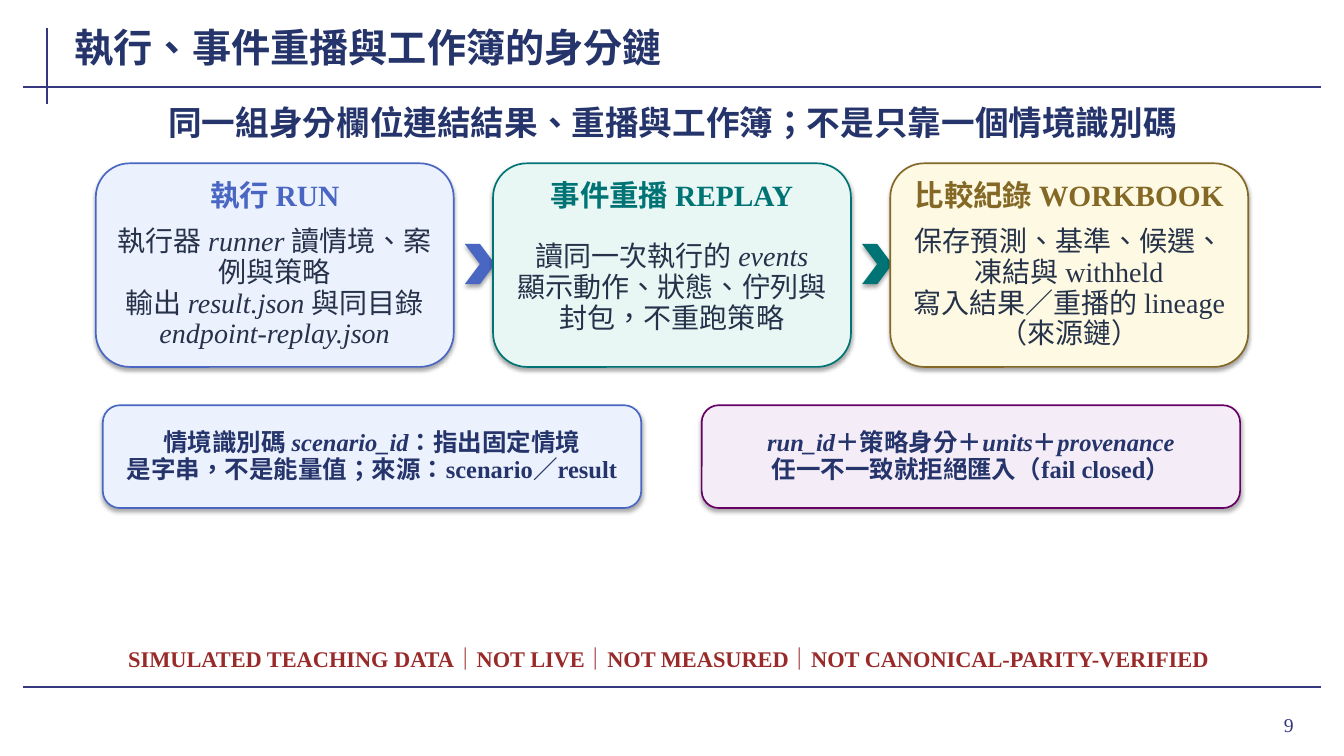
"""Build the slide on the identity chain of run, replay and workbook."""
from dataclasses import dataclass

from lxml import etree
from pptx import Presentation
from pptx import util as u
from pptx.dml.color import RGBColor
from pptx.enum import lang, shapes, text
from pptx.oxml import parse_xml
from pptx.oxml.ns import qn

COLOURS = {
    "rule": "35377F", "navy": "25356B", "body": "25324A", "warning": "992A2A",
    "blue": "4967C2", "blue_tint": "ECF1FE",
    "teal": "007374", "teal_tint": "E8F7F4",
    "gold": "846826", "gold_tint": "FDF9E2",
    "purple": "660066", "purple_tint": "F4EDF7",
}
SHADOW = (
    '<a:outerShdw xmlns:a="http://schemas.openxmlformats.org/drawingml/2006/main" '
    'blurRad="39370" dist="22860" dir="5400000" rotWithShape="0">'
    '<a:srgbClr val="000000"><a:alpha val="35000"/></a:srgbClr></a:outerShdw>'
)
TIGHT = (0.02, 0.01)
CARD_LEFT, CARD_TOP, CARD_STEP = 0.95, 1.62, 3.94
NOTE_LEFT, NOTE_STEP = 1.02, 5.94


@dataclass
class Style:
    """Character and paragraph look; asterisks in the wording toggle italics."""
    size: float
    colour: str
    bold: bool = True
    align: text.PP_ALIGN = text.PP_ALIGN.CENTER
    spacing: float | None = None


@dataclass
class Card:
    """One stage of the chain."""
    heading: str
    lines: list[str]
    colour: str


@dataclass
class Note:
    """One rule below the chain."""
    lines: list[str]
    colour: str


CARDS = [
    Card("執行 RUN", ["執行器 *runner* 讀情境、案例與策略",
                    "輸出 *result.json* 與同目錄 *endpoint-replay.json*"], "blue"),
    Card("事件重播 REPLAY", ["讀同一次執行的 *events*",
                         "顯示動作、狀態、佇列與封包，不重跑策略"], "teal"),
    Card("比較紀錄 WORKBOOK", ["保存預測、基準、候選、凍結與 withheld",
                           "寫入結果／重播的 lineage（來源鏈）"], "gold"),
]
NOTES = [
    Note(["情境識別碼 *scenario_id*：指出固定情境",
          "是字串，不是能量值；來源：scenario／result"], "blue"),
    Note(["*run_id*＋策略身分＋*units*＋*provenance*",
          "任一不一致就拒絕匯入（fail closed）"], "purple"),
]
RULES = [(0.47, 0.28, 0.47, 1.03), (0.23, 0.86, 13.1, 0.86), (0.23, 6.82, 13.1, 6.82)]


def rgb(name: str) -> RGBColor:
    """Look up a named colour."""
    return RGBColor.from_string(COLOURS[name])


def write(shape, lines: list[str], style: Style, inset: tuple[float, float]) -> None:
    """Fill a shape with styled paragraphs."""
    frame = shape.text_frame
    frame.word_wrap = True
    frame.vertical_anchor = text.MSO_ANCHOR.MIDDLE
    frame.margin_left = frame.margin_right = u.Inches(inset[0])
    frame.margin_top = frame.margin_bottom = u.Inches(inset[1])
    for index, line in enumerate(lines):
        para = frame.add_paragraph() if index else frame.paragraphs[0]
        para.alignment = style.align
        para.line_spacing = style.spacing
        para.space_before = u.Pt(0)
        for order, part in enumerate(line.split("*")):
            if part:
                span = para.add_run()
                span.text = part
                font = span.font
                font.name = "Times New Roman"
                font.size = u.Pt(style.size)
                font.bold = style.bold
                font.italic = order % 2 == 1
                font.color.rgb = rgb(style.colour)
                font.language_id = lang.MSO_LANGUAGE_ID.TRADITIONAL_CHINESE


def add_label(page, place: tuple[float, ...], lines: list[str], style: Style,
              inset: tuple[float, float] = TIGHT, grow: bool = True) -> None:
    """Add a text box."""
    box = page.shapes.add_textbox(*map(u.Inches, place))
    write(box, lines, style, inset)
    size = text.MSO_AUTO_SIZE
    box.text_frame.auto_size = size.SHAPE_TO_FIT_TEXT if grow else size.NONE


def add_block(page, kind: shapes.MSO_SHAPE, place: tuple[float, ...],
              fill: str, line: str | None = None):
    """Add a filled shape with a soft shadow below it."""
    block = page.shapes.add_shape(kind, *map(u.Inches, place))
    block.fill.solid()
    block.fill.fore_color.rgb = rgb(fill)
    if line:
        block.line.color.rgb = rgb(line)
        block.line.width = u.Pt(1.2)
    else:
        block.line.fill.background()
    block.shadow.inherit = False
    block.element.spPr.find(qn("a:effectLst")).append(parse_xml(SHADOW))
    return block


def add_rule(page, ends: tuple[float, ...]) -> None:
    """Add a frame line."""
    rule = page.shapes.add_connector(shapes.MSO_CONNECTOR.STRAIGHT, *map(u.Inches, ends))
    rule.line.color.rgb = rgb("rule")
    rule.line.width = u.Pt(1.5)
    etree.SubElement(rule.element.spPr, qn("a:effectLst"))


def add_card(page, card: Card, left: float) -> None:
    """Add a stage with its heading and body."""
    add_block(page, shapes.MSO_SHAPE.ROUNDED_RECTANGLE, (left, CARD_TOP, 3.55, 2.02),
              f"{card.colour}_tint", card.colour)
    add_label(page, (left + 0.1, CARD_TOP + 0.12, 3.35, 0.38), [card.heading],
              Style(21, card.colour))
    add_label(page, (left + 0.14, CARD_TOP + 0.58, 3.27, 1.32), card.lines,
              Style(20, "body", bold=False, spacing=0.92))


def main() -> None:
    """Draw the slide and save the deck."""
    deck = Presentation()
    deck.slide_width, deck.slide_height = u.Inches(13.33), u.Inches(7.5)
    page = deck.slides.add_slide(deck.slide_layouts[5])
    for ends in RULES:
        add_rule(page, ends)
    add_label(page, (11.96, 6.93, 0.97, 0.52), ["9"],
              Style(14, "rule", bold=False, align=text.PP_ALIGN.RIGHT), (0.1, 0.05), grow=False)

    title = page.shapes.title
    title.left, title.top, title.width, title.height = map(u.Inches, (0.72, 0.2, 10.35, 0.53))
    write(title, ["執行、事件重播與工作簿的身分鏈"],
          Style(28, "navy", align=text.PP_ALIGN.LEFT), (0.02, 0))
    title.text_frame.auto_size = text.MSO_AUTO_SIZE.NONE
    add_label(page, (0.98, 1, 11.38, 0.42),
              ["同一組身分欄位連結結果、重播與工作簿；不是只靠一個情境識別碼"], Style(24, "navy"))

    for index, card in enumerate(CARDS):
        left = CARD_LEFT + index * CARD_STEP
        add_card(page, card, left)
        if index < len(CARDS) - 1:
            add_block(page, shapes.MSO_SHAPE.CHEVRON,
                      (left + 3.66, CARD_TOP + 0.8, 0.3, 0.4), card.colour)
    for index, note in enumerate(NOTES):
        block = add_block(page, shapes.MSO_SHAPE.ROUNDED_RECTANGLE,
                          (NOTE_LEFT + index * NOTE_STEP, 4.02, 5.34, 1.02),
                          f"{note.colour}_tint", note.colour)
        write(block, note.lines, Style(17.5, "navy", spacing=0.94), (0.1, 0.04))

    add_label(page, (0.92, 6.4, 11.42, 0.26),
              ["SIMULATED TEACHING DATA｜NOT LIVE｜NOT MEASURED｜NOT CANONICAL-PARITY-VERIFIED"],
              Style(16, "warning"), (0, 0))
    deck.save("out.pptx")


if __name__ == "__main__":
    main()
